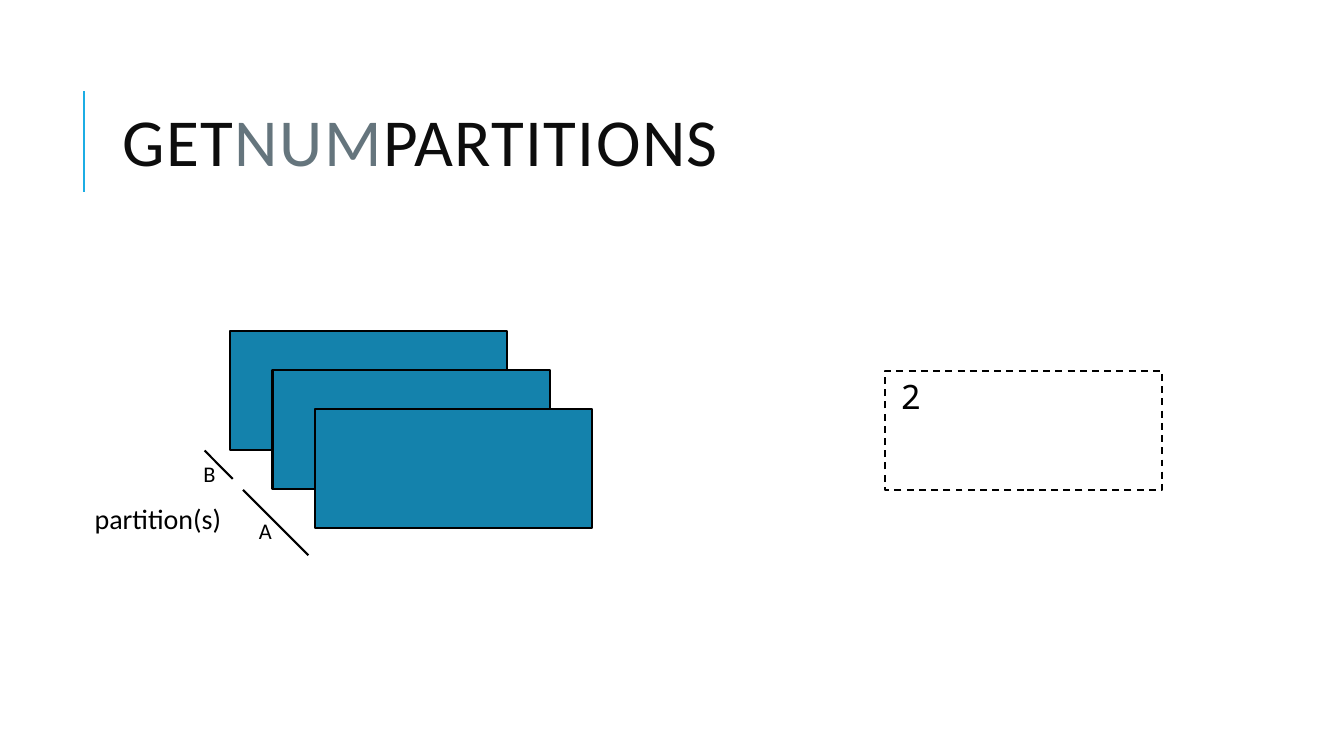
from dataclasses import dataclass

from lxml import etree
from pptx import Presentation
from pptx.dml.color import RGBColor
from pptx.enum.dml import MSO_LINE
from pptx.enum.shapes import MSO_CONNECTOR, MSO_SHAPE
from pptx.enum.text import MSO_ANCHOR, PP_ALIGN
from pptx.oxml.ns import qn
from pptx.util import Inches, Pt

WIDTH, HEIGHT = Inches(13.33), Inches(7.5)
COLUMNS, ROWS = 40, 20
BLOCK_SIZE = (8.25, 3.15)


@dataclass(frozen=True)
class Theme:
    ink: str = "000000"
    title: str = "0D0D0D"
    muted: str = "65757D"
    accent: str = "1CADE4"
    block: str = "1482AC"
    font: str = "Calibri"
    mono: str = "Noto Sans Mono"
    title_size: int = 48
    result_size: int = 24
    label_size: int = 20
    letter_size: int = 16
    stroke: float = 1.5
    dash_stroke: float = 1.25


THEME = Theme()


def grid(*lengths):
    """Turn alternating column and row counts into slide lengths."""
    units = (WIDTH / COLUMNS, HEIGHT / ROWS)
    return [round(n * units[i % 2]) for i, n in enumerate(lengths)]


def style_line(line, color, width):
    line.color.rgb = RGBColor.from_string(color)
    line.width = Pt(width)


def add_line(slide, start, end, color=THEME.ink):
    line = slide.shapes.add_connector(MSO_CONNECTOR.STRAIGHT, *grid(*start, *end))
    style_line(line.line, color, THEME.stroke)
    etree.SubElement(line._element.spPr, qn("a:effectLst"))


def add_block(slide, col, row, fill=None, width=THEME.stroke, dash=None):
    sp = slide.shapes.add_shape(MSO_SHAPE.RECTANGLE, *grid(col, row, *BLOCK_SIZE))
    sp.shadow.inherit = False
    if fill:
        sp.fill.solid()
        sp.fill.fore_color.rgb = RGBColor.from_string(fill)
    else:
        sp.fill.background()
    style_line(sp.line, THEME.ink, width)
    if dash:
        sp.line.dash_style = dash


def add_text(slide, box, runs, size, font=THEME.font, align=PP_ALIGN.LEFT,
             anchor=MSO_ANCHOR.TOP, line_spacing=None, tracking=None):
    """Add one paragraph; runs are (text, color) pairs, tracking is in points."""
    tf = slide.shapes.add_textbox(*grid(*box)).text_frame
    tf.word_wrap = True
    tf.vertical_anchor = anchor
    p = tf.paragraphs[0]
    p.alignment = align
    p.line_spacing = line_spacing
    for text, color in runs:
        r = p.add_run()
        r.text = text
        r.font.name = font
        r.font.size = Pt(size)
        r.font.color.rgb = RGBColor.from_string(color)
        if tracking:
            r.font._element.set("spc", str(tracking * 100))


def add_title(slide):
    add_line(slide, (2.49, 5.07), (2.49, 2.4), THEME.accent)
    runs = [("GET", THEME.title), ("NUM", THEME.muted), ("PARTITIONS", THEME.title)]
    add_text(slide, (3.36, 1.71, 31.89, 4.37), runs, THEME.title_size,
             anchor=MSO_ANCHOR.MIDDLE, line_spacing=0.8, tracking=1)


def add_partitions(slide):
    for i in range(3):
        add_block(slide, 6.84 + 1.27 * i, 8.75 + 1.03 * i, THEME.block)
    add_line(slide, (7.23, 12.96), (9.18, 14.69))
    add_line(slide, (6.09, 11.92), (6.93, 12.67))
    add_text(slide, (2.52, 13.15, 4.86, 1.17), [("partition(s)", THEME.ink)],
             THEME.label_size)
    for letter, col, row in (("A", 7.41, 13.55), ("B", 5.76, 12.05)):
        add_text(slide, (col, row, 0.63, 0.99), [(letter, THEME.ink)],
                 THEME.letter_size)


def add_result(slide):
    corner = (26.34, 9.81)
    add_block(slide, *corner, width=THEME.dash_stroke, dash=MSO_LINE.DASH)
    add_text(slide, (*corner, 1.53, 1.33), [("2", THEME.ink)], THEME.result_size,
             font=THEME.mono, align=PP_ALIGN.CENTER)


def main():
    prs = Presentation()
    prs.slide_width, prs.slide_height = WIDTH, HEIGHT
    slide = prs.slides.add_slide(prs.slide_layouts[6])
    add_title(slide)
    add_partitions(slide)
    add_result(slide)
    prs.save("out.pptx")


if __name__ == "__main__":
    main()
